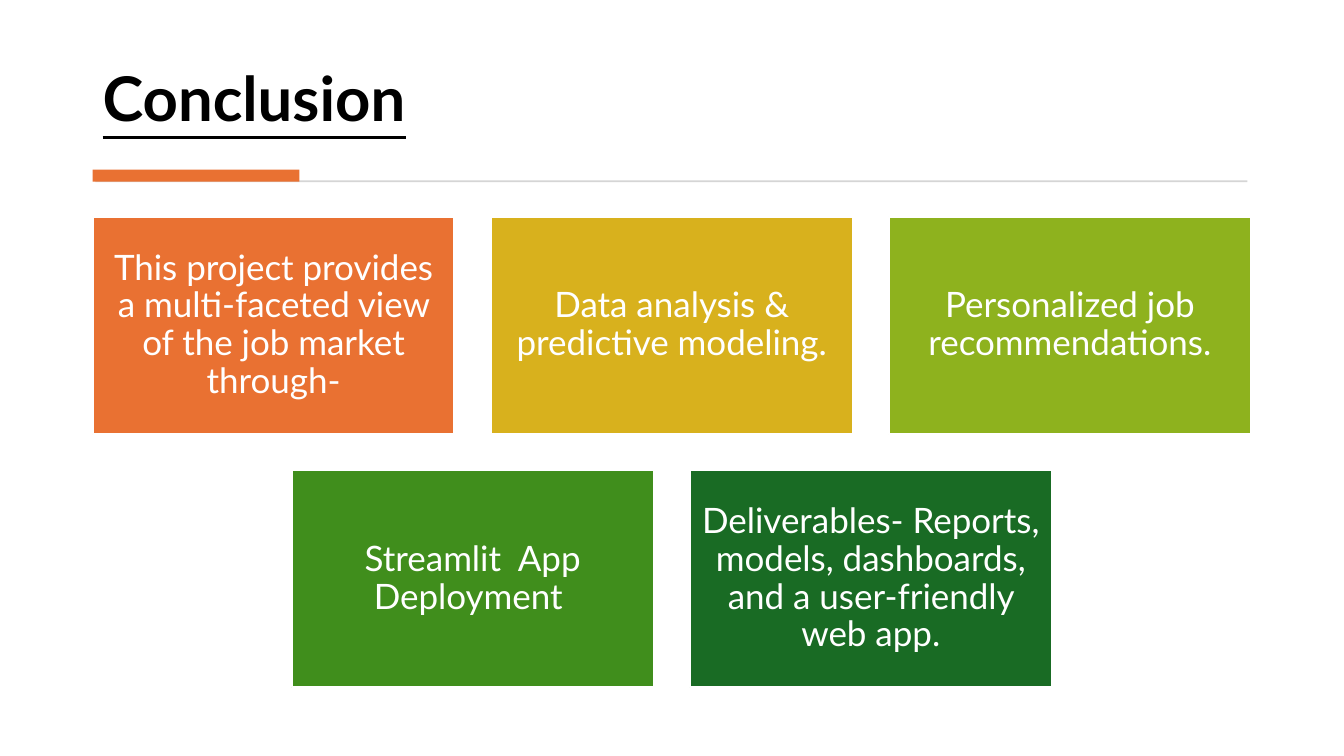
from dataclasses import dataclass

from pptx import Presentation
from pptx.dml.color import RGBColor
from pptx.enum.shapes import MSO_SHAPE
from pptx.enum.text import MSO_ANCHOR, PP_ALIGN
from pptx.util import Pt

RECT = MSO_SHAPE.RECTANGLE
MIDDLE, BOTTOM = MSO_ANCHOR.MIDDLE, MSO_ANCHOR.BOTTOM
LEFT, CENTER = PP_ALIGN.LEFT, PP_ALIGN.CENTER


@dataclass(frozen=True)
class Theme:
    font: str = "Lato"
    title_size: float = 44
    tile_size: float = 25
    line_spacing: float = 0.9
    ink: str = "000000"
    paper: str = "FFFFFF"
    rule: str = "D5D5D5"
    accent: str = "E97132"
    tiles: tuple = ("E97132", "D8B11D", "8EB21E", "408E1C", "196B24")


THEME = Theme()

TILE_ROWS = [
    ["This project provides a multi-faceted view of the job market through-",
     "Data analysis & predictive modeling.",
     "Personalized job recommendations."],
    ["Streamlit  App Deployment ",
     "Deliverables- Reports, models, dashboards, and a user-friendly web app."],
]


def add_rect(s, x, y, w, h, fill, line=None):
    sp = s.shapes.add_shape(RECT, Pt(x), Pt(y), Pt(w), Pt(h))
    sp.shadow.inherit = False
    sp.fill.solid()
    sp.fill.fore_color.rgb = RGBColor.from_string(fill)
    if line:
        sp.line.color.rgb = RGBColor.from_string(line)
        sp.line.width = Pt(1.5)
    else:
        sp.line.fill.background()
    return sp


def write(sp, text, size, color, align, anchor, bold=False, underline=False):
    tf = sp.text_frame
    tf.word_wrap = True
    tf.vertical_anchor = anchor
    p = tf.paragraphs[0]
    p.alignment = align
    p.line_spacing = THEME.line_spacing
    r = p.add_run()
    r.text = text
    r.font.name = THEME.font
    r.font.size = Pt(size)
    r.font.bold = bold
    r.font.underline = underline
    r.font.color.rgb = RGBColor.from_string(color)
    return tf


def add_header(s, x, y, w, h, title):
    # Title, sitting on the bottom of its box
    sp = s.shapes.add_textbox(Pt(x), Pt(y), Pt(w), Pt(h))
    write(sp, title, THEME.title_size, THEME.ink, LEFT, BOTTOM,
          bold=True, underline=True)

    # Thin rule with a short accent bar over its left end
    rule_y = y + h + 28.8
    add_rect(s, x + 2, rule_y, w - 4.4, 1.3, THEME.rule)
    add_rect(s, x, rule_y - 7.7, 147.6, 8.6, THEME.accent)


def add_tiles(s, x, y, w, rows):
    # The widest row fills the box; gaps are a tenth of a tile
    most = max(len(row) for row in rows)
    tile_w = w / (most + 0.1 * (most - 1))
    tile_h = 0.6 * tile_w
    gap = 0.1 * tile_w
    colors = iter(THEME.tiles)

    for i, row in enumerate(rows):
        # Shorter rows are centred
        row_x = x + (most - len(row)) * (tile_w + gap) / 2
        for j, text in enumerate(row):
            sp = add_rect(s, row_x + j * (tile_w + gap), y + i * (tile_h + gap),
                          tile_w, tile_h, next(colors), THEME.paper)
            tf = write(sp, text, THEME.tile_size, THEME.paper, CENTER, MIDDLE)
            tf.margin_left = tf.margin_right = Pt(7.2)
            tf.margin_top = tf.margin_bottom = Pt(7.2)


def main():
    prs = Presentation()
    prs.slide_width, prs.slide_height = Pt(960), Pt(540)
    s = prs.slides.add_slide(prs.slide_layouts[6])
    add_header(s, 66.2, 20.2, 827.3, 79.9, "Conclusion")
    add_tiles(s, 66.2, 155, 827.3, TILE_ROWS)
    prs.save("out.pptx")


if __name__ == "__main__":
    main()
